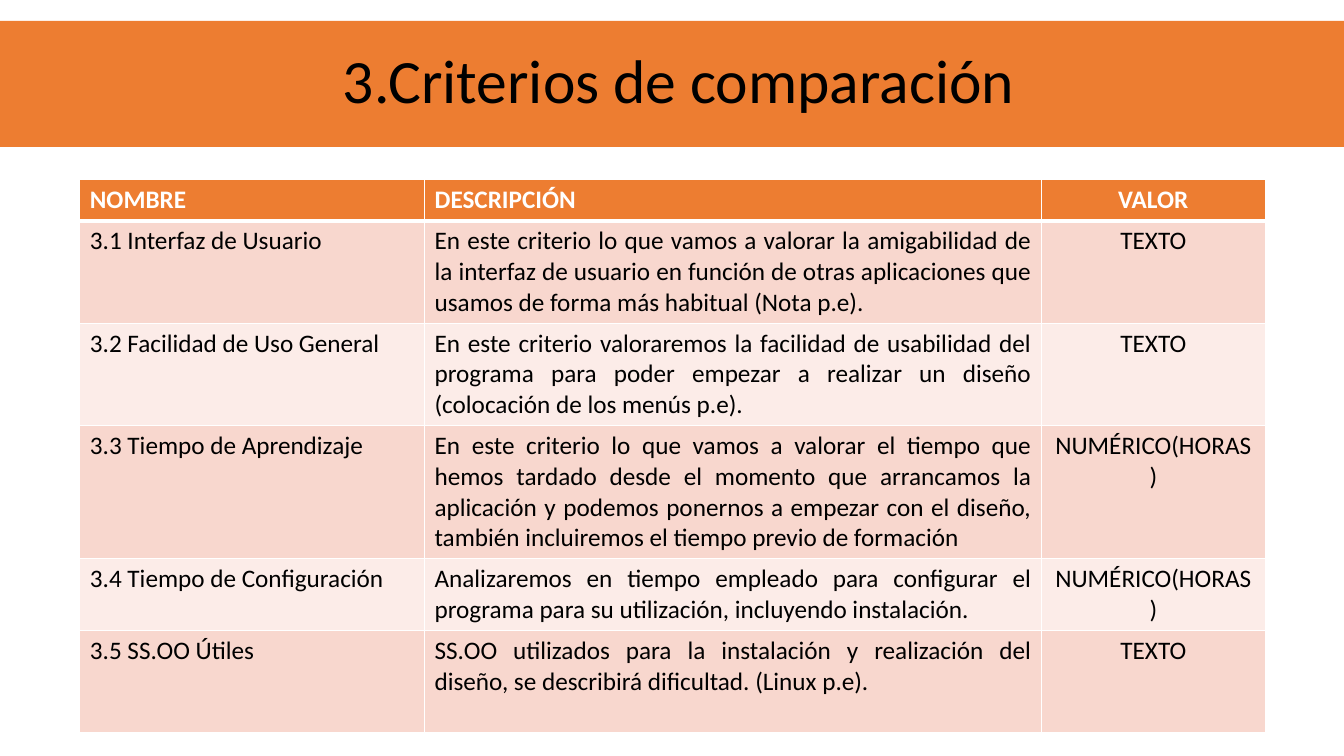
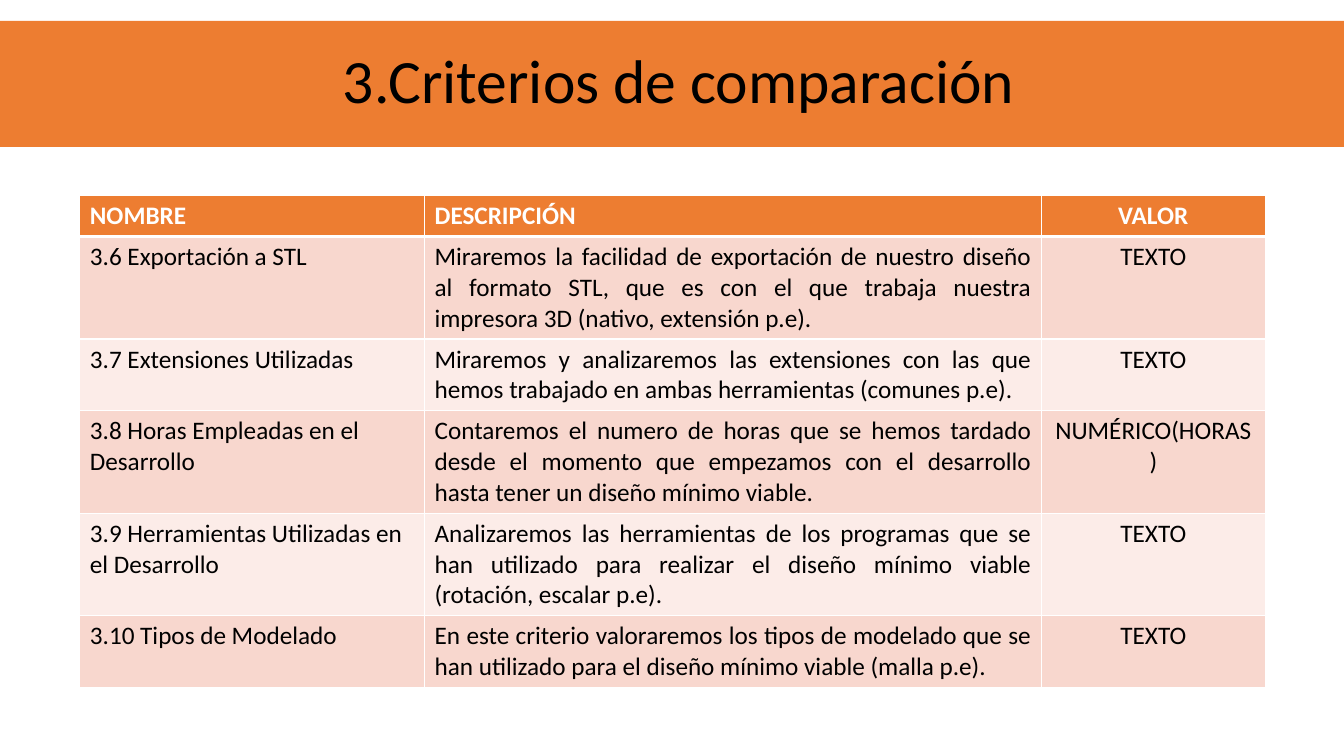
from lxml import etree
from pptx import Presentation
from pptx.dml.color import RGBColor
from pptx.enum import shapes, text
from pptx.oxml import ns
from pptx.util import Pt

ORANGE = RGBColor(0xED, 0x7D, 0x31)
ROSE = RGBColor(0xF8, 0xD7, 0xCE)
PALE = RGBColor(0xFC, 0xEC, 0xE8)
WHITE = RGBColor(0xFF, 0xFF, 0xFF)
BLACK = RGBColor(0, 0, 0)
FONT = "Calibri"
WIDE, HIGH = 960, 540
BAND = (0, 15, WIDE, 90)
TITLE = " 3.Criterios de comparación"
HEAD = ("NOMBRE", "DESCRIPCIÓN", "VALOR")
COLS = (246.25, 440.65, 159.85)
LEFT, MID, JUST = (text.PP_ALIGN.LEFT, text.PP_ALIGN.CENTER,
                   text.PP_ALIGN.JUSTIFY)
PAD, LINE = 7.2, 22
WORDS = "TEXTO"
HOURS = "NUMÉRICO(HORAS)"

PAGES = [
    ((57, 128.4), [
        (3, "3.1 Interfaz de Usuario",
         "En este criterio lo que vamos a valorar la amigabilidad de la "
         "interfaz de usuario en función de otras aplicaciones que usamos "
         "de forma más habitual (Nota p.e).", WORDS),
        (3, "3.2 Facilidad de Uso General",
         "En este criterio valoraremos la facilidad de usabilidad del "
         "programa para poder empezar a realizar un diseño (colocación de "
         "los menús p.e).", WORDS),
        (4, "3.3 Tiempo de Aprendizaje",
         "En este criterio lo que vamos a valorar el tiempo que hemos "
         "tardado desde el momento que arrancamos la aplicación y podemos "
         "ponernos a empezar con el diseño, también incluiremos el tiempo "
         "previo de formación", HOURS),
        (2, "3.4 Tiempo de Configuración",
         "Analizaremos en tiempo empleado para configurar el programa para "
         "su utilización, incluyendo instalación.", HOURS),
        (3, "3.5 SS.OO Útiles",
         "SS.OO utilizados para la instalación y realización del diseño, "
         "se describirá dificultad. (Linux p.e).", WORDS),
    ]),
    ((57, 139.8), [
        (3, "3.6 Exportación a STL",
         "Miraremos la facilidad de exportación de nuestro diseño al "
         "formato STL, que es con el que trabaja nuestra impresora 3D "
         "(nativo, extensión p.e).", WORDS),
        (2, "3.7 Extensiones Utilizadas",
         "Miraremos y analizaremos las extensiones con las que hemos "
         "trabajado en ambas herramientas (comunes p.e).", WORDS),
        (3, "3.8 Horas Empleadas en el Desarrollo",
         "Contaremos el numero de horas que se hemos tardado desde el "
         "momento que empezamos con el desarrollo hasta tener un diseño "
         "mínimo viable.", HOURS),
        (3, "3.9 Herramientas Utilizadas en el Desarrollo",
         "Analizaremos las herramientas de los programas que se han "
         "utilizado para realizar el diseño mínimo viable (rotación, "
         "escalar p.e).", WORDS),
        (2, "3.10 Tipos de Modelado",
         "En este criterio valoraremos los tipos de modelado que se han "
         "utilizado para el diseño mínimo viable (malla p.e).", WORDS),
    ]),
]


def write(par, words, size, color, align, bold=False):
    par.alignment = align
    run = par.add_run()
    run.text = words
    font = run.font
    font.name, font.size, font.bold = FONT, Pt(size), bold
    font.color.rgb = color


def edge(cell, top, base):
    props = cell._tc.get_or_add_tcPr()
    for side, width in (("L", 1), ("R", 1), ("T", top), ("B", base)):
        line = etree.SubElement(props, ns.qn("a:ln" + side),
                                w=str(Pt(width)))
        fill = etree.SubElement(line, ns.qn("a:solidFill"))
        etree.SubElement(fill, ns.qn("a:srgbClr"), val=str(WHITE))


def banner(slide, box):
    band = slide.shapes.add_shape(shapes.MSO_SHAPE.RECTANGLE,
                                  *map(Pt, box))
    band.shadow.inherit = False
    band.fill.solid()
    band.fill.fore_color.rgb = ORANGE
    band.line.fill.background()
    frame = band.text_frame
    frame.word_wrap = True
    frame.vertical_anchor = text.MSO_ANCHOR.MIDDLE
    par = frame.paragraphs[0]
    par.line_spacing = 0.9
    write(par, TITLE, 44, BLACK, MID)


def grid(slide, spot, items):
    rows = [(1, *HEAD), *items]
    highs = [PAD + LINE * row[0] for row in rows]
    box = (*spot, sum(COLS), sum(highs))
    table = slide.shapes.add_table(len(rows), len(COLS),
                                   *map(Pt, box)).table
    for col, width in zip(table.columns, COLS):
        col.width = Pt(width)
    for i, (row, high) in enumerate(zip(rows, highs)):
        table.rows[i].height = Pt(high)
        head = i == 0
        shade = ORANGE if head else (PALE, ROSE)[i % 2]
        aligns = (LEFT, LEFT if head else JUST, MID)
        for j, (words, align) in enumerate(zip(row[1:], aligns)):
            cell = table.cell(i, j)
            edge(cell, 3 if i == 1 else 1, 3 if head else 1)
            cell.fill.solid()
            cell.fill.fore_color.rgb = shade
            write(cell.text_frame.paragraphs[0], words, 18,
                  WHITE if head else BLACK, align, head)


def main():
    deck = Presentation()
    deck.slide_width, deck.slide_height = Pt(WIDE), Pt(HIGH)
    for spot, items in PAGES:
        slide = deck.slides.add_slide(deck.slide_layouts[6])
        banner(slide, BAND)
        grid(slide, spot, items)
    deck.save("out.pptx")


if __name__ == "__main__":
    main()
